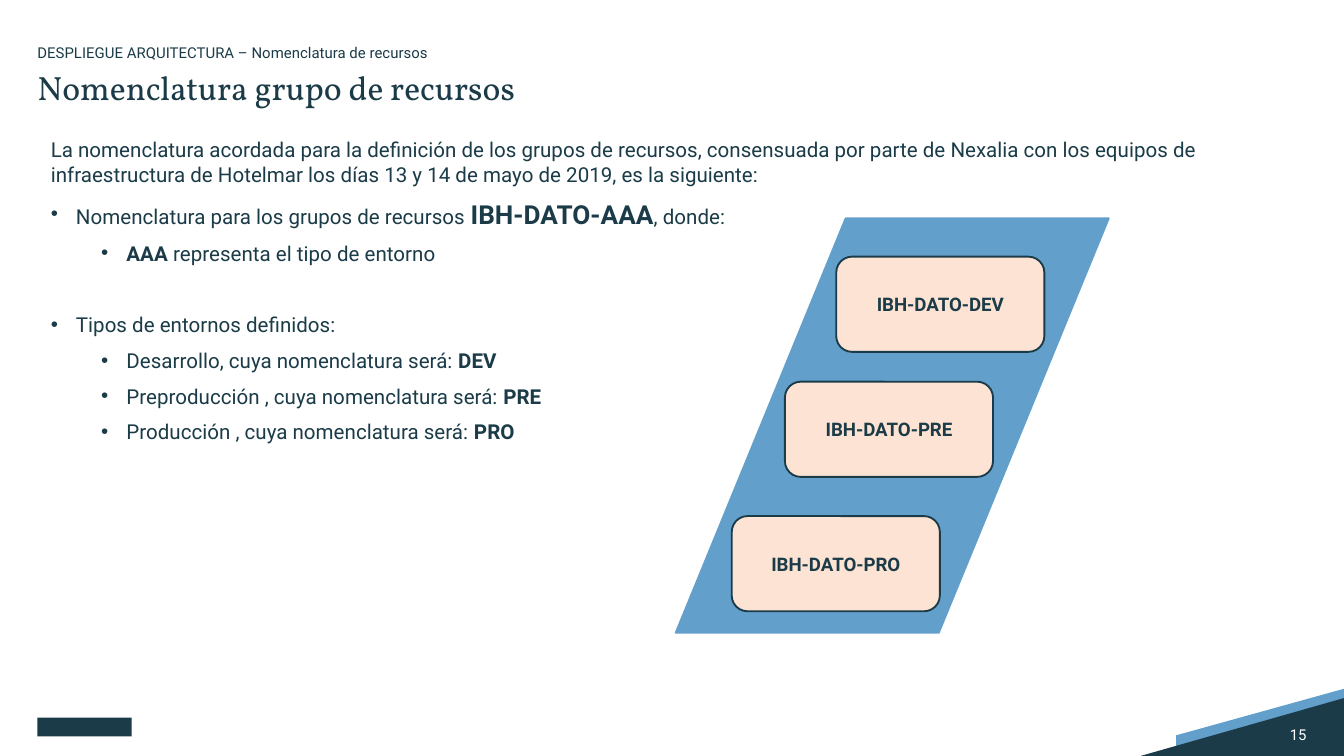
from lxml import etree
from pptx import Presentation
from pptx.dml.color import RGBColor
from pptx.enum.shapes import MSO_SHAPE
from pptx.enum.text import MSO_ANCHOR, MSO_AUTO_SIZE, PP_ALIGN
from pptx.oxml.ns import qn
from pptx.util import Pt

LEFT, CENTER, RIGHT = PP_ALIGN.LEFT, PP_ALIGN.CENTER, PP_ALIGN.RIGHT
TOP, MIDDLE = MSO_ANCHOR.TOP, MSO_ANCHOR.MIDDLE
NO_AUTOFIT = MSO_AUTO_SIZE.NONE
PARALLELOGRAM = MSO_SHAPE.PARALLELOGRAM
ROUNDED = MSO_SHAPE.ROUNDED_RECTANGLE
RECTANGLE = MSO_SHAPE.RECTANGLE
DARK, BLUE, PEACH, WHITE = "1A3B47", "639FCB", "FDE3D3", "FFFFFF"


def paint(target, color):
    """Colour a fill, or the font of a run."""
    if hasattr(target, "solid"):
        target.solid()
        target.fore_color.rgb = RGBColor.from_string(color)
    else:
        target.color.rgb = RGBColor.from_string(color)


def format_text(shape, size, color=DARK, font="Roboto", align=LEFT,
                anchor=TOP, margins=(0, 0, 0, 0)):
    frame = shape.text_frame
    frame.word_wrap = True
    frame.auto_size = NO_AUTOFIT
    frame.vertical_anchor = anchor
    (frame.margin_left, frame.margin_top,
     frame.margin_right, frame.margin_bottom) = map(Pt, margins)
    for paragraph in frame.paragraphs:
        paragraph.alignment = align
        paragraph.space_before = Pt(0)
        for run in paragraph.runs:
            run.font.size = Pt(size)
            run.font.name = font
            paint(run.font, color)


presentation = Presentation()
presentation.slide_width = Pt(720)
presentation.slide_height = Pt(405)
slide = presentation.slides.add_slide(presentation.slide_layouts[1])
shapes = slide.shapes

# Corner decoration
corners = [
    (BLUE, [(720, 391.5), (720, 368.8), (630, 394.5), (630, 404.6)]),
    (DARK, [(611, 405), (720, 374.5), (720, 405)]),
]
for color, points in corners:
    builder = shapes.build_freeform(*points[0], scale=Pt(1))
    builder.add_line_segments(points[1:], close=True)
    corner = builder.convert_to_shape()
    corner.shadow.inherit = False
    paint(corner.fill, color)
    corner.line.fill.background()

# Plain mark in the footer
mark = shapes.add_shape(RECTANGLE, Pt(20), Pt(384.5), Pt(50.5), Pt(10))
mark.shadow.inherit = False
paint(mark.fill, DARK)
mark.line.fill.background()

# Page number
page_number = shapes.add_textbox(Pt(677.5), Pt(384), Pt(22.5), Pt(19.5))
page_number.text_frame.text = "15"
format_text(page_number, 8, WHITE, align=RIGHT, anchor=MIDDLE)

# Section line and title
section = shapes.add_textbox(Pt(20), Pt(21), Pt(680), Pt(15))
section.text_frame.text = "DESPLIEGUE ARQUITECTURA – Nomenclatura de recursos"
format_text(section, 8, margins=(0, 3.6, 7.2, 3.6))
section.text_frame.paragraphs[0].line_spacing = 0.9

title = shapes.title
title.left, title.top, title.width, title.height = Pt(20), Pt(38), Pt(680), Pt(54)
title.text_frame.text = "Nomenclatura grupo de recursos"
format_text(title, 18, font="Vollkorn")
title.text_frame.paragraphs[0].line_spacing = 0.9

# Body list: left margin (0 = no bullet), then text parts, every second one bold
items = [
    (0, ["La nomenclatura acordada para la definición de los grupos de recursos, "
         "consensuada por parte de Nexalia con los equipos de infraestructura de "
         "Hotelmar los días 13 y 14 de mayo de 2019, es la siguiente:"]),
    (13.5, ["Nomenclatura para los grupos de recursos ", "IBH-DATO-AAA", ", donde:"]),
    (40.5, ["", "AAA", " representa el tipo de entorno"]),
    (13.5, ["Tipos de entornos definidos:"]),
    (40.5, ["Desarrollo, cuya nomenclatura será: ", "DEV"]),
    (40.5, ["Preproducción , cuya nomenclatura será: ", "PRE"]),
    (40.5, ["Producción , cuya nomenclatura será: ", "PRO"]),
]
body = slide.placeholders[1]
body.left, body.top, body.width, body.height = Pt(20), Pt(70), Pt(688), Pt(173.5)
frame = body.text_frame
for index, (margin, parts) in enumerate(items):
    paragraph = frame.add_paragraph() if index else frame.paragraphs[0]
    paragraph.level = 1 if margin > 13.5 else 0
    paragraph.space_after = Pt(6)
    for position, part in enumerate(parts):
        if part:
            run = paragraph.add_run()
            run.text = part
            run.font.bold = position % 2 == 1
    properties = paragraph._p.get_or_add_pPr()
    properties.set("marL", str(Pt(margin)))
    properties.set("indent", str(Pt(-13.5 if margin else 0)))
    if margin:
        etree.SubElement(properties, qn("a:buFont"), typeface="Arial")
        etree.SubElement(properties, qn("a:buChar"), char="•")
    else:
        etree.SubElement(properties, qn("a:buNone"))
format_text(body, 11, margins=(7.2, 3.6, 7.2, 3.6))
frame.paragraphs[1].runs[1].font.size = Pt(14)
frame.paragraphs[3].space_before = Pt(19)

# Resource groups on their band
band = shapes.add_shape(PARALLELOGRAM, Pt(362), Pt(117), Pt(232), Pt(222))
band.adjustments[0] = 0.41
band.shadow.inherit = False
paint(band.fill, BLUE)
paint(band.line.fill, BLUE)
band.line.width = Pt(1)

groups = [("DEV", 448, 137.5), ("PRE", 420.5, 204.5), ("PRO", 392, 276.5)]
for environment, left, top in groups:
    box = shapes.add_shape(ROUNDED, Pt(left), Pt(top), Pt(111.5), Pt(51))
    box.shadow.inherit = False
    paint(box.fill, PEACH)
    paint(box.line.fill, DARK)
    box.line.width = Pt(1)
    box.text_frame.text = f"IBH-DATO-{environment}"
    format_text(box, 10, align=CENTER, anchor=MIDDLE, margins=(7.2, 3.6, 7.2, 3.6))
    box.text_frame.paragraphs[0].runs[0].font.bold = True

presentation.save("out.pptx")
